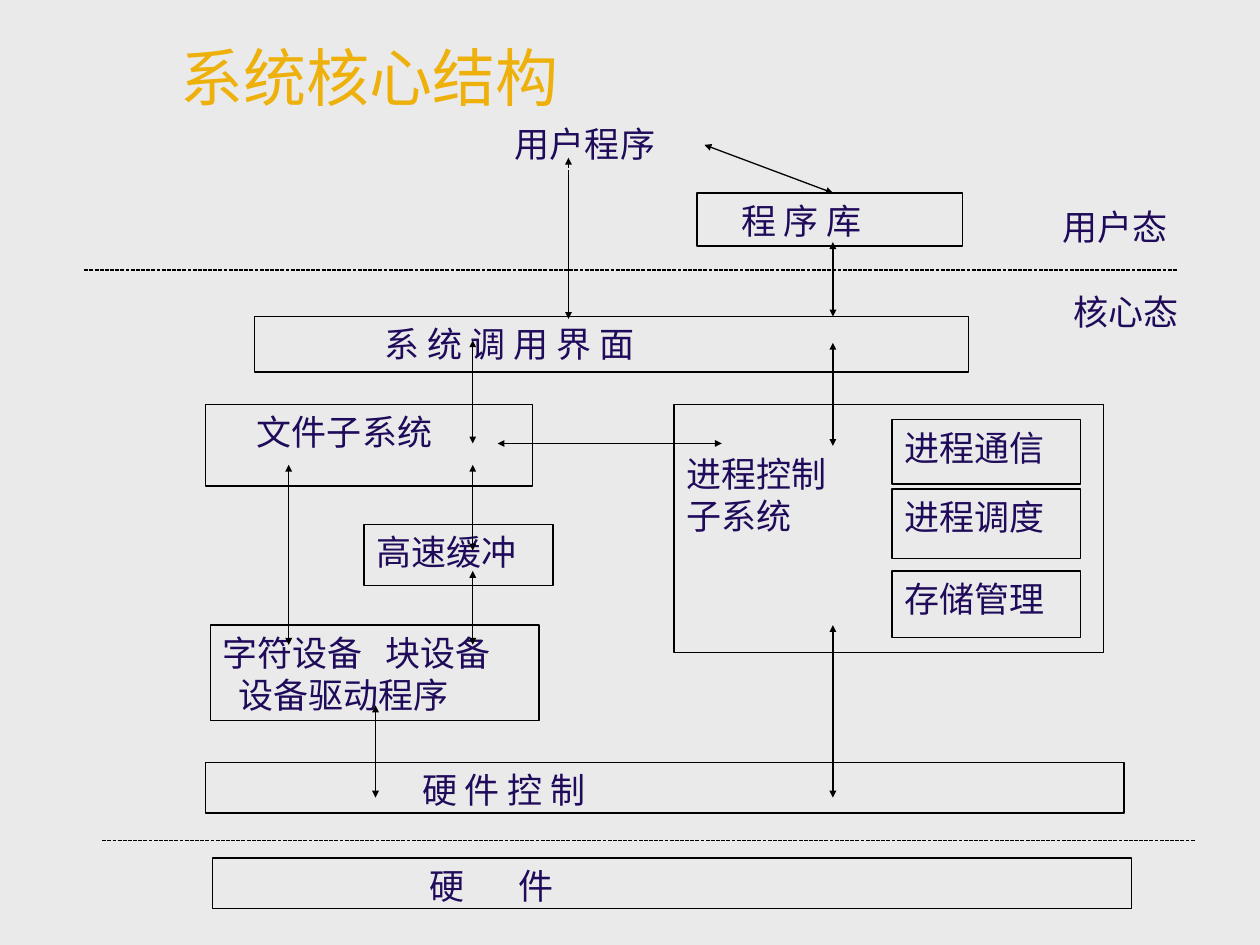
from dataclasses import dataclass

from lxml.etree import SubElement as Sub
from pptx import Presentation
from pptx.dml.color import RGBColor as RGB
from pptx.enum.dml import MSO_LINE_DASH_STYLE as Dash
from pptx.enum.shapes import MSO_CONNECTOR as Link, MSO_SHAPE as Form
from pptx.enum.text import MSO_ANCHOR as Anchor, PP_ALIGN as Align
from pptx.oxml.ns import qn
from pptx.util import Cm, Pt


@dataclass(frozen=True)
class Theme:
    back: RGB = RGB(0xEA, 0xEA, 0xEA)
    gold: RGB = RGB(0xEE, 0xB0, 0x0B)
    ink: RGB = RGB(0x20, 0x0B, 0x5B)
    black: RGB = RGB(0, 0, 0)
    font: str = "Arial"
    head: Pt = Pt(36)
    body: Pt = Pt(20)
    thin: Pt = Pt(0.75)
    bold: Pt = Pt(1)


LOOK = Theme()
FRAME = dict(
    word_wrap=True, vertical_anchor=Anchor.TOP,
    margin_left=Cm(0.25), margin_right=Cm(0.25),
    margin_top=Cm(0.13), margin_bottom=Cm(0.13),
)

BOXES = [
    ((5.13, 6.38, 14.4, 1.12), [("\t系 统 调 用 界 面", 2.38)]),
    ((14.05, 3.89, 5.36, 1.07), [("\t程 序 库", 0.64)]),
    ((4.14, 8.15, 6.6, 1.65), [("\t文件子系统", 0.79)]),
    ((7.34, 10.57, 3.81, 1.24), [("高速缓冲",)]),
    ((4.24, 12.6, 6.63, 1.93), [("字符设备\t块设备", 3.28), ("\t设备驱动程序", 0.32)]),
    ((4.14, 15.37, 18.52, 1.02), [("\t硬 件 控 制", 4.12)]),
    ((4.29, 17.3, 18.52, 1.02), [("\t硬\t件", 4.12, 5.92)]),
]
PARTS = [("进程通信", 8.46, 1.3), ("进程调度", 9.86, 1.4), ("存储管理", 11.51, 1.35)]
RULES = [(1.7, 5.44, 23.72, 5.44), (2.06, 16.94, 24.1, 16.94)]
DROPS = [
    (16.79, 4.88, 6.38), (9.53, 6.86, 8.94), (16.79, 6.91, 8.99),
    (9.53, 9.37, 11.1), (9.53, 11.51, 13), (5.82, 9.37, 13),
    (7.57, 14.22, 16.08), (16.79, 12.6, 16.08),
]
STATES = [("用户态", 21.16, 4.01), ("核心态", 21.39, 5.72)]


def apply(item, vals):
    for name, val in vals.items():
        setattr(item, name, val)


def add_tabs(para, stops):
    if stops:
        tabs = Sub(para._p.get_or_add_pPr(), qn("a:tabLst"))
        for stop in stops:
            Sub(tabs, qn("a:tab"), pos=str(Cm(stop)), algn="l")


def write(shape, lines, size=LOOK.body, tint=LOOK.ink, **more):
    frame = shape.text_frame
    apply(frame, {**FRAME, **more})
    for num, (text, *stops) in enumerate(lines):
        para = frame.add_paragraph() if num else frame.paragraphs[0]
        para.alignment = Align.LEFT
        add_tabs(para, stops)
        run = para.add_run()
        run.text = text
        apply(run.font, dict(name=LOOK.font, size=size))
        run.font.color.rgb = tint


def add_text(slide, area, text, **more):
    write(slide.shapes.add_textbox(*map(Cm, area)), [(text,)], **more)


def add_box(slide, area, lines, edge=LOOK.black, **more):
    box = slide.shapes.add_shape(Form.RECTANGLE, *map(Cm, area))
    box.shadow.inherit = False
    box.fill.background()
    box.line.color.rgb = edge
    box.line.width = LOOK.thin
    write(box, lines, **more)


def add_line(slide, ends, width=LOOK.thin, **more):
    link = slide.shapes.add_connector(Link.STRAIGHT, *map(Cm, ends))
    link.line.color.rgb = LOOK.black
    apply(link.line, dict(width=width, **more))
    Sub(link._element.spPr, qn("a:effectLst"))
    return link


def add_arrow(slide, ends, **more):
    link = add_line(slide, ends, **more)
    edge = link.line._get_or_add_ln()
    for tag in ("a:headEnd", "a:tailEnd"):
        Sub(edge, qn(tag), type="triangle", w="sm", len="sm")


def main():
    deck = Presentation()
    apply(deck, dict(slide_width=Cm(25.4), slide_height=Cm(19.05)))
    slide = deck.slides.add_slide(deck.slide_layouts[6])
    fill = slide.background.fill
    fill.solid()
    fill.fore_color.rgb = LOOK.back

    add_text(slide, (3.38, 0.64, 19.05, 1.47), "系统核心结构",
             size=LOOK.head, tint=LOOK.gold)
    for ends in RULES:
        add_line(slide, ends, dash_style=Dash.SQUARE_DOT)
    for area, lines in BOXES:
        add_box(slide, area, lines)
    add_box(slide, (13.59, 8.15, 8.66, 5), [("进程控制",), ("子系统",)],
            margin_top=Cm(0.97))
    for text, top, high in PARTS:
        add_box(slide, (17.98, top, 3.81, high), [(text,)])
    add_arrow(slide, (11.46, 3.18, 11.46, 6.43))
    add_box(slide, (10.13, 2.34, 4.06, 1.07), [("用户程序",)], edge=LOOK.back)
    for left, top, low in DROPS:
        add_arrow(slide, (left, top, left, low))
    add_arrow(slide, (10.03, 8.94, 14.55, 8.94), width=LOOK.bold)
    add_arrow(slide, (14.2, 2.92, 16.79, 3.89))
    for text, left, top in STATES:
        add_text(slide, (left, top, 2.74, 1.12), text)
    deck.save("out.pptx")


if __name__ == "__main__":
    main()
